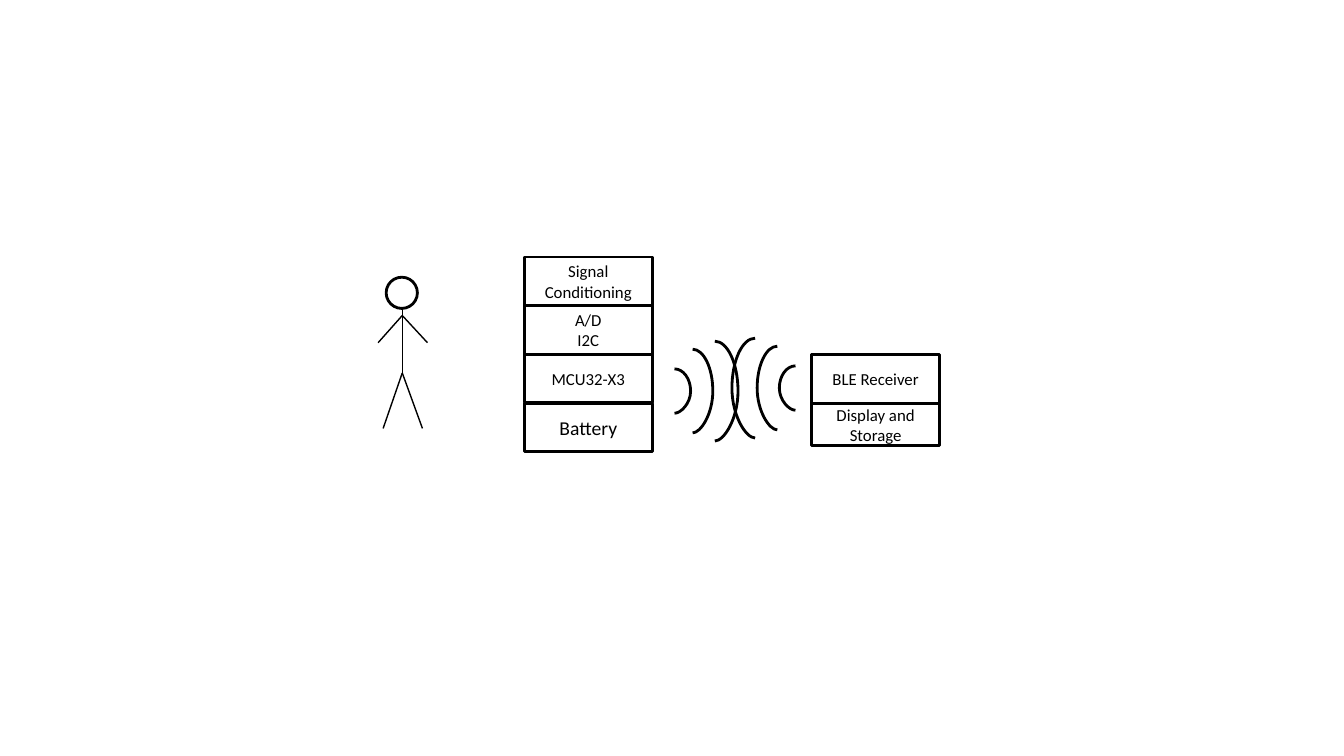
from dataclasses import dataclass

from lxml.etree import SubElement
from pptx import Presentation
from pptx.dml.color import RGBColor
from pptx.enum.shapes import MSO_CONNECTOR, MSO_SHAPE
from pptx.enum.text import MSO_ANCHOR, PP_ALIGN
from pptx.oxml.ns import qn
from pptx.shapes.autoshape import Shape
from pptx.slide import Slide
from pptx.util import Inches, Pt

COLORS = {"ink": "000000", "head": "FFFFFF", "joint": "4472C4"}
FONT = "Calibri"
BOX_WIDTH = 1.27
BOX_STEP = 1.45 / 3
ARC_POINTS = ((0, -1), (0.55, -1), (1, -0.55), (1, 0), (1, 0.55), (0.4, 1), (0, 1))


@dataclass(frozen=True)
class Box:
    text: str
    height: float = 0.48
    size: int = 12


@dataclass(frozen=True)
class Stack:
    left: float
    top: float
    boxes: tuple[Box, ...]


@dataclass(frozen=True)
class Limb:
    start: tuple[float, float]
    end: tuple[float, float]
    color: str = "ink"
    width: float = 1


@dataclass(frozen=True)
class Wave:
    offset: float
    depth: float
    height: float


@dataclass(frozen=True)
class Antenna:
    x: float
    y: float
    direction: int


STACKS = (
    Stack(5.2, 2.55, (
        Box("Signal\nConditioning"),
        Box("A/D\nI2C"),
        Box("MCU32-X3"),
        Box("Battery", size=14),
    )),
    Stack(8.05, 3.52, (Box("BLE Receiver"), Box("Display and Storage", height=0.42))),
)

NECK, SHOULDER, HIP = (3.99, 3.07), (3.99, 3.13), (3.99, 3.7)
LIMBS = (
    Limb(NECK, NECK, "joint", 0.75),
    Limb(NECK, HIP),
    Limb((4.19, 4.25), HIP),
    Limb((3.8, 4.25), HIP),
    Limb((4.24, 3.4), SHOULDER),
    Limb((3.75, 3.4), SHOULDER),
)

WAVES = (Wave(0, 0.16, 0.44), Wave(0.18, 0.2, 0.83), Wave(0.4, 0.23, 0.99))
ANTENNAS = (Antenna(6.69, 3.88, 1), Antenna(7.89, 3.85, -1))


def color(name: str) -> RGBColor:
    return RGBColor.from_string(COLORS[name])


def outline(shape: Shape) -> None:
    shape.shadow.inherit = False
    shape.fill.background()
    shape.line.color.rgb = color("ink")
    shape.line.width = Pt(2)


def draw_person(slide: Slide) -> None:
    head = slide.shapes.add_shape(
        MSO_SHAPE.OVAL, Inches(3.83), Inches(2.75), Inches(0.31), Inches(0.31)
    )
    outline(head)
    head.fill.solid()
    head.fill.fore_color.rgb = color("head")
    for limb in LIMBS:
        line = slide.shapes.add_connector(
            MSO_CONNECTOR.STRAIGHT, *map(Inches, limb.start + limb.end)
        )
        line.line.color.rgb = color(limb.color)
        line.line.width = Pt(limb.width)
        SubElement(line.element.spPr, qn("a:effectLst"))


def draw_stack(slide: Slide, stack: Stack) -> None:
    for row, box in enumerate(stack.boxes):
        shape = slide.shapes.add_shape(
            MSO_SHAPE.RECTANGLE,
            Inches(stack.left),
            Inches(stack.top + row * BOX_STEP),
            Inches(BOX_WIDTH),
            Inches(box.height),
        )
        outline(shape)
        frame = shape.text_frame
        frame.word_wrap = True
        frame.vertical_anchor = MSO_ANCHOR.MIDDLE
        frame.text = box.text
        for paragraph in frame.paragraphs:
            paragraph.alignment = PP_ALIGN.CENTER
            paragraph.font.name = FONT
            paragraph.font.size = Pt(box.size)
            paragraph.font.color.rgb = color("ink")


def curve_segments(shape: Shape) -> None:
    segments = list(shape.element.iter(qn("a:lnTo")))
    contour = segments[0].getparent()
    for first in range(0, len(segments), 3):
        curve = SubElement(contour, qn("a:cubicBezTo"))
        for segment in segments[first:first + 3]:
            curve.append(segment[0])
            contour.remove(segment)


def draw_waves(slide: Slide, antenna: Antenna) -> None:
    group = slide.shapes.add_group_shape()
    for wave in WAVES:
        points = [
            (
                Inches(antenna.x + antenna.direction * (wave.offset + wave.depth * x)),
                Inches(antenna.y + wave.height / 2 * y),
            )
            for x, y in ARC_POINTS
        ]
        builder = group.shapes.build_freeform(*points[0])
        builder.add_line_segments(points[1:], close=False)
        arc = builder.convert_to_shape()
        curve_segments(arc)
        outline(arc)


def main() -> None:
    presentation = Presentation()
    presentation.slide_width = Inches(13.33)
    presentation.slide_height = Inches(7.5)
    slide = presentation.slides.add_slide(presentation.slide_layouts[6])
    draw_person(slide)
    for stack in STACKS:
        draw_stack(slide, stack)
    for antenna in ANTENNAS:
        draw_waves(slide, antenna)
    presentation.save("out.pptx")


if __name__ == "__main__":
    main()
